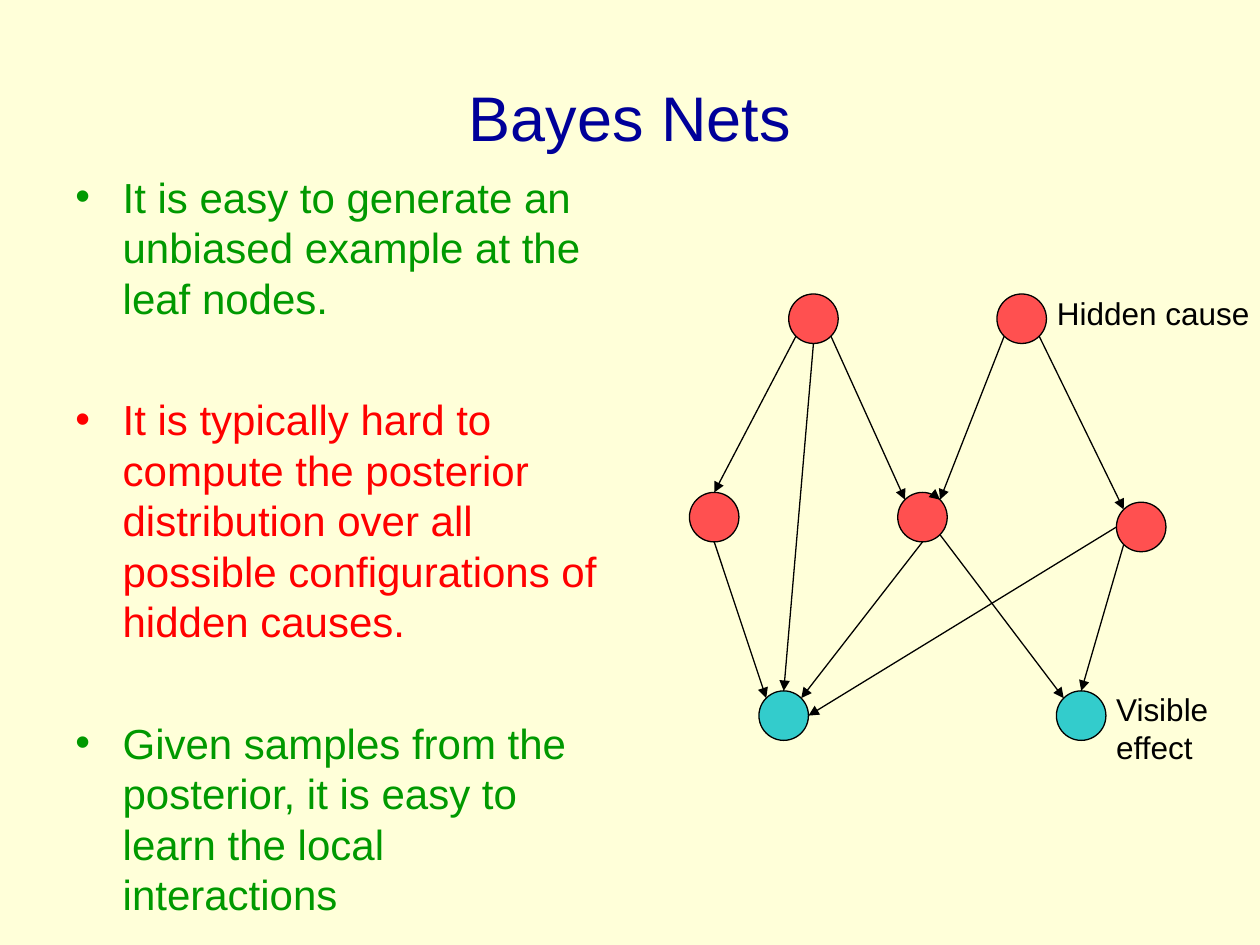
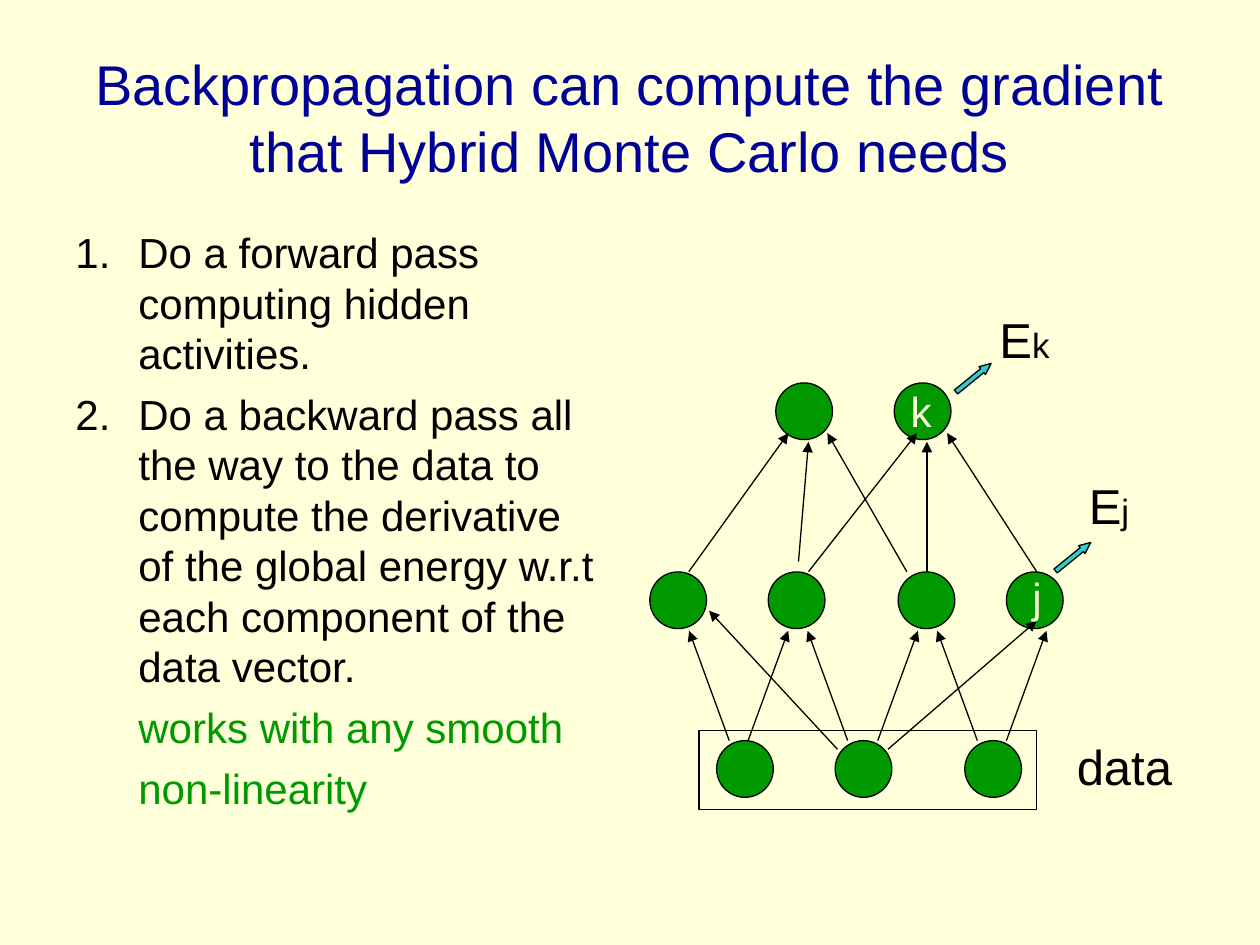
from math import cos, radians, sin

from lxml import etree
from pptx import Presentation
from pptx.dml.color import RGBColor
from pptx.enum.shapes import MSO_CONNECTOR, MSO_SHAPE
from pptx.enum.text import MSO_ANCHOR, PP_ALIGN
from pptx.oxml.ns import qn
from pptx.util import Pt

OVAL = MSO_SHAPE.OVAL
RECTANGLE = MSO_SHAPE.RECTANGLE
RIGHT_ARROW = MSO_SHAPE.RIGHT_ARROW
STRAIGHT = MSO_CONNECTOR.STRAIGHT
MIDDLE = MSO_ANCHOR.MIDDLE
CENTER = PP_ALIGN.CENTER

CREAM = RGBColor(0xFF, 0xFF, 0xD9)
NAVY = RGBColor(0x00, 0x00, 0x99)
GREEN = RGBColor(0x00, 0x99, 0x00)
RED = RGBColor(0xFF, 0x00, 0x00)
CORAL = RGBColor(0xFF, 0x50, 0x50)
TEAL = RGBColor(0x33, 0xCC, 0xCC)
BLACK = RGBColor(0, 0, 0)

FONT = "Arial"
LINE_RATIO = 1.2
BODY_SIZE = 24
TITLE_BOX = (36, 21.6, 648, 90)


def format_run(r, size, color):
    r.font.name = FONT
    r.font.size = Pt(size)
    r.font.color.rgb = color


def add_text(s, box, lines, size, color, wrap=True):
    tb = s.shapes.add_textbox(*map(Pt, box))
    tf = tb.text_frame
    tf.word_wrap = wrap
    tf.text = "\n".join(lines)
    for p in tf.paragraphs:
        p.line_spacing = Pt(size * LINE_RATIO)
        for r in p.runs:
            format_run(r, size, color)
    return tf


def add_title(s, title, size):
    tf = add_text(s, TITLE_BOX, [title], size, NAVY)
    tf.vertical_anchor = MIDDLE
    tf.paragraphs[0].alignment = CENTER


def add_body(s, box, items, indent, gap):
    tf = add_text(s, box, [text for text, _, _ in items], BODY_SIZE, BLACK)
    for i, (p, (_, color, bullet)) in enumerate(zip(tf.paragraphs, items)):
        p.runs[0].font.color.rgb = color
        if i:
            p.space_before = Pt(gap)
        pPr = p._p.get_or_add_pPr()
        pPr.set("marL", str(Pt(indent)))
        pPr.set("indent", str(Pt(-indent if bullet else 0)))
        if bullet:
            clr = etree.SubElement(pPr, qn("a:buClr"))
            etree.SubElement(clr, qn("a:srgbClr"), val=str(color))
            etree.SubElement(pPr, qn("a:buFont"), typeface=FONT)
            tag, attrs = bullet
            etree.SubElement(pPr, qn(tag), attrs)


def add_shape(s, kind, box, fill):
    sp = s.shapes.add_shape(kind, *map(Pt, box))
    sp.shadow.inherit = False
    if fill is None:
        sp.fill.background()
    else:
        sp.fill.solid()
        sp.fill.fore_color.rgb = fill
    sp.line.color.rgb = BLACK
    sp.line.width = Pt(0.75)
    return sp


def add_arrow(s, x1, y1, x2, y2):
    cn = s.shapes.add_connector(STRAIGHT, Pt(x1), Pt(y1), Pt(x2), Pt(y2))
    cn.line.color.rgb = BLACK
    cn.line.width = Pt(0.75)
    etree.SubElement(cn.line._get_or_add_ln(), qn("a:tailEnd"), type="triangle")
    etree.SubElement(cn._element.spPr, qn("a:effectLst"))


def add_bayes_net(s, left, top):
    d = 28.3
    nodes = {
        "cause 1": (56.7, 0, CORAL),
        "cause 2": (175.7, 0, CORAL),
        "middle 1": (0, 113.4, CORAL),
        "middle 2": (119, 113.4, CORAL),
        "middle 3": (244, 119, CORAL),
        "effect 1": (39.7, 226.8, TEAL),
        "effect 2": (209.7, 226.8, TEAL),
    }
    angles = {"r": 0, "br": 45, "b": 90, "bl": 135, "l": 180, "tl": 225, "t": 270, "tr": 315}
    edges = [
        ("cause 1", "bl", "middle 1", "t"),
        ("cause 1", "b", "effect 1", "t"),
        ("cause 1", "br", "middle 2", "tl"),
        ("cause 2", "bl", "middle 2", "tr"),
        ("cause 2", "br", "middle 3", "tl"),
        ("middle 1", "b", "effect 1", "tl"),
        ("middle 2", "b", "effect 1", "tr"),
        ("middle 2", "br", "effect 2", "tl"),
        ("middle 3", "l", "effect 1", "r"),
        ("middle 3", "bl", "effect 2", "t"),
    ]

    def site(name, side):
        x, y, _ = nodes[name]
        a = radians(angles[side])
        return left + x + d / 2 * (1 + cos(a)), top + y + d / 2 * (1 + sin(a))

    for x, y, fill in nodes.values():
        add_shape(s, OVAL, (left + x, top + y, d, d), fill)
    for start, start_side, end, end_side in edges:
        add_arrow(s, *site(start, start_side), *site(end, end_side))
    x, y = site("middle 2", "tr")
    add_arrow(s, x - 0.5, y - 0.4, x, y)
    add_text(s, (left + 202.9, top - 3.8, 124.6, 28.8), ["Hidden cause"], 18, BLACK, False)
    add_text(s, (left + 236.7, top + 223, 72, 50.4), ["Visible", "effect"], 18, BLACK, False)


def add_energy(s, left, top, subscript):
    tf = add_text(s, (left, top, 56, 41), ["E"], 28, BLACK)
    r = tf.paragraphs[0].add_run()
    r.text = subscript
    format_run(r, 20, BLACK)


def add_backprop_net(s, left, top):
    d = 32.4
    layers = [
        (0, [72.5, 140.2]),
        (108, [0.5, 68.2, 142.4, 204.3]),
        (204.4, [38.7, 106.4, 180.5]),
    ]
    for y, xs in layers:
        for x in xs:
            add_shape(s, OVAL, (left + x, top + y, d, d), GREEN)

    shift = 22.9
    edges = [(x, 204.4, x + shift, 141.7) for x in (56.7, 130.8, 204.3)]
    edges += [(x, 204.4, x - shift, 141.7) for x in (45.9, 113.6, 187.7)]
    edges += [(107.8, 209.4, 34.4, 130.2), (136.6, 209.4, 221.6, 136)]
    edges += [(x1, 107.9, x2, 28.7) for x1, x2 in
              ((22.8, 79.7), (91.2, 153.2), (147.4, 102), (221.6, 170.4))]
    edges += [(85.5, 102.1, 91.2, 33.7), (158.9, 107.9, 158.9, 33.7)]
    for x1, y1, x2, y2 in edges:
        add_arrow(s, left + x1, top + y1, left + x2, top + y2)

    add_shape(s, RECTANGLE, (left + 28.6, top + 198.6, 193, 45.4), None)
    add_text(s, (left + 237.4, top + 198.6, 90, 41), ["data"], 28, BLACK)
    add_text(s, (left + 212, top + 104.5, 28, 36), ["j"], 24, CREAM)
    add_text(s, (left + 142.4, top - 2.3, 32, 36), ["k"], 24, CREAM)
    add_energy(s, left + 193.2, top - 45.3, "k")
    add_energy(s, left + 244.3, top + 49.6, "j")
    for x, y in ((172.6, -5.9), (229.5, 96.4)):
        sp = add_shape(s, RIGHT_ARROW, (left + x, top + y, 25.9, 5.8), TEAL)
        sp.rotation = 320.9
        sp.adjustments[1] = 1.124


def add_slide(prs):
    s = prs.slides.add_slide(prs.slide_layouts[6])
    s.background.fill.solid()
    s.background.fill.fore_color.rgb = CREAM
    return s


def bayes_slide(prs):
    s = add_slide(prs)
    dot = ("a:buChar", {"char": "•"})
    add_title(s, "Bayes Nets", 36)
    add_body(s, (36, 94.3, 318.2, 445.7), [
        ("It is easy to generate an unbiased example at the leaf nodes.", GREEN, dot),
        ("It is typically hard to compute the posterior distribution over all "
         "possible configurations of hidden causes.", RED, dot),
        ("Given samples from the posterior, it is easy to learn the local "
         "interactions", GREEN, dot),
    ], 27, 40.8)
    add_bayes_net(s, 394, 168)


def backprop_slide(prs):
    s = add_slide(prs)
    number = ("a:buAutoNum", {"type": "arabicPeriod"})
    add_title(s, "Backpropagation can compute the gradient that Hybrid Monte Carlo needs", 32)
    add_body(s, (36, 126, 318.2, 356.4), [
        ("Do a forward pass computing hidden activities.", BLACK, number),
        ("Do a backward pass all the way to the data to compute the derivative of "
         "the global energy w.r.t each component of the data vector.", BLACK, number),
        ("works with any smooth", GREEN, None),
        ("non-linearity", GREEN, None),
    ], 36, 6)
    add_backprop_net(s, 370.8, 218.8)


def main():
    prs = Presentation()
    prs.slide_width, prs.slide_height = Pt(720), Pt(540)
    bayes_slide(prs)
    backprop_slide(prs)
    prs.save("out.pptx")


if __name__ == "__main__":
    main()
